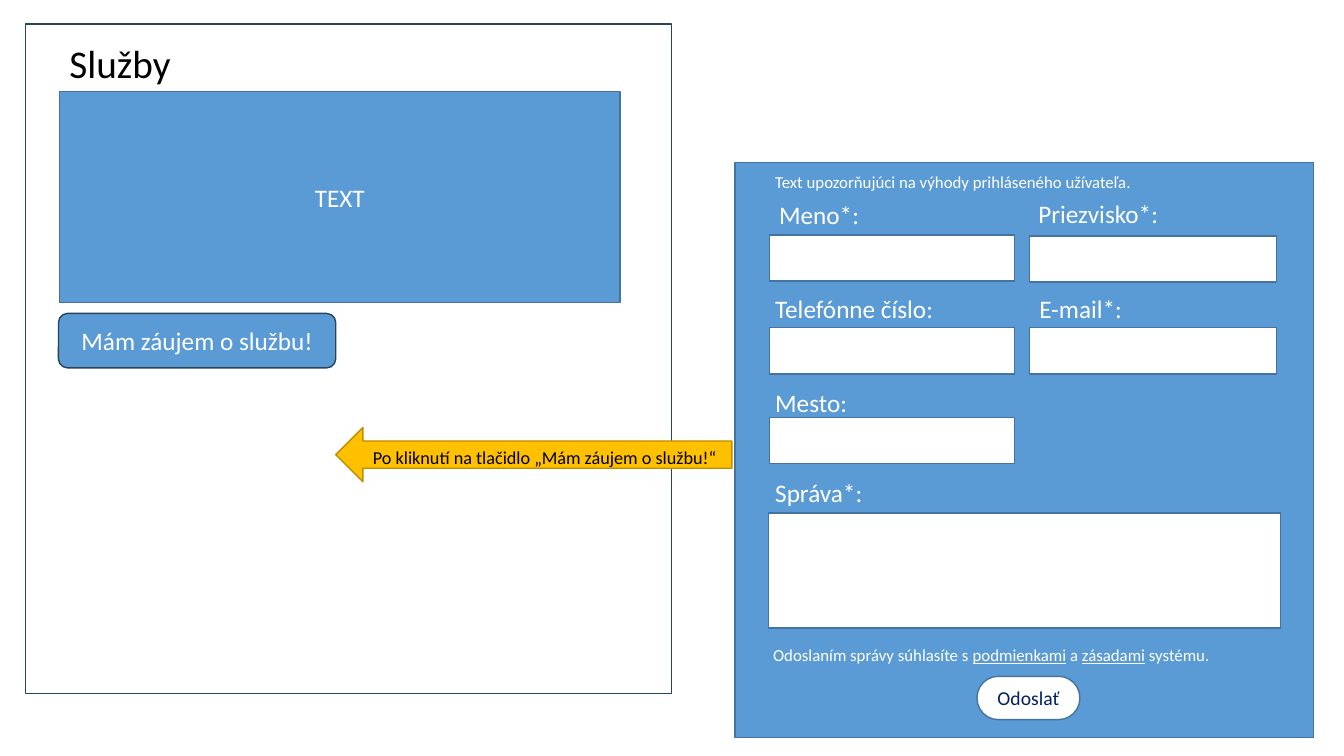
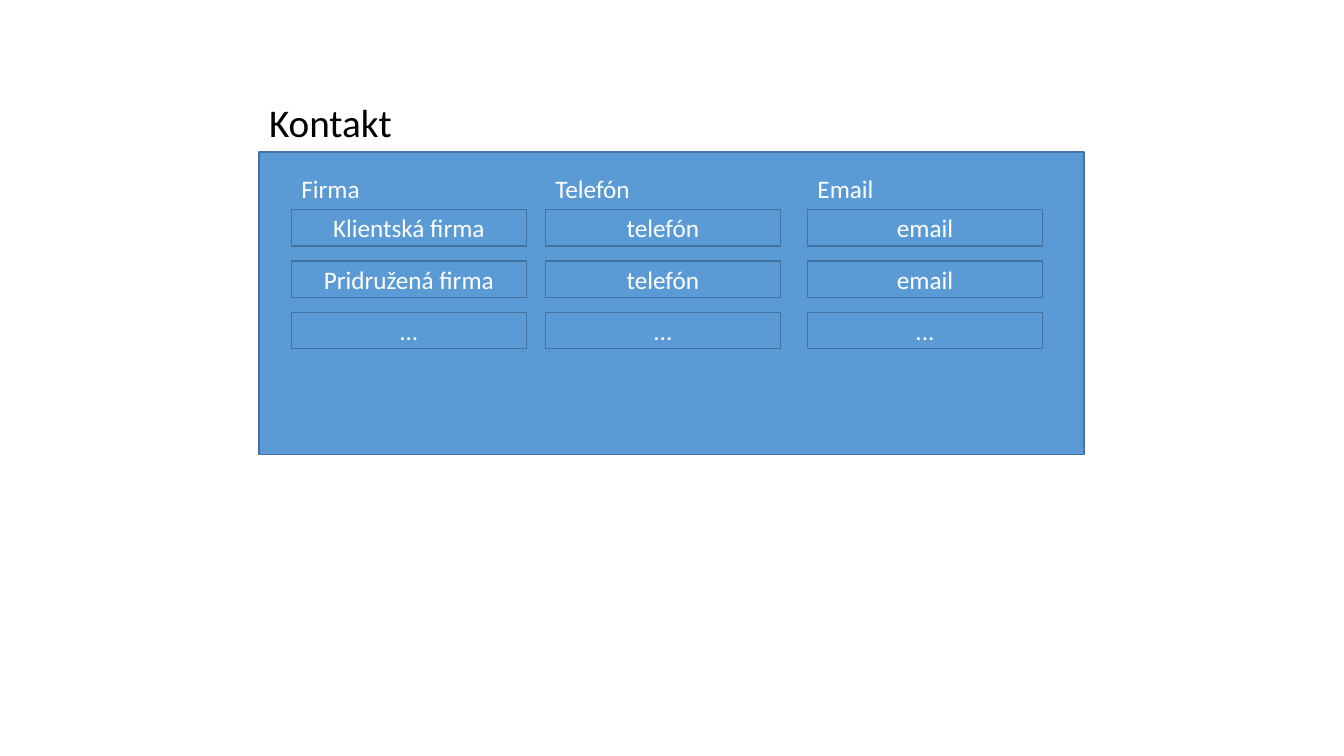
from dataclasses import dataclass

from pptx import Presentation
from pptx import util as u
from pptx.dml.color import RGBColor
from pptx.enum import shapes, text

PX = 9144  # 100 px to the inch


@dataclass(frozen=True)
class Theme:
    font: str = "Calibri"
    blue: str = "5B9BD5"
    edge: str = "43739E"
    dark_edge: str = "28445D"
    gold: str = "FFC000"
    gold_edge: str = "BD8E00"
    navy: str = "002060"
    white: str = "FFFFFF"
    black: str = "000000"
    title: int = 28
    body: int = 18
    button: int = 14
    callout: int = 13
    small: int = 12


theme = Theme()
SHAPE = shapes.MSO_SHAPE


def draw(slide, area, kind=SHAPE.RECTANGLE, fill=theme.blue, line=theme.edge):
    box = slide.shapes.add_shape(kind, *[length * PX for length in area])
    box.shadow.inherit = False
    if fill:
        box.fill.solid()
        box.fill.fore_color.rgb = RGBColor.from_string(fill)
    else:
        box.fill.background()
    box.line.color.rgb = RGBColor.from_string(line)
    box.line.width = u.Pt(1)
    return box


def write(slide, words, area=None, box=None, size=theme.body, color=theme.white, wrap=False):
    """Centre words in box, or set them in a new text box at area; _words_ are underlined."""
    label = box or slide.shapes.add_textbox(*[length * PX for length in area])
    frame = label.text_frame
    para = frame.paragraphs[0]
    if box:
        frame.word_wrap = True
        frame.vertical_anchor = text.MSO_ANCHOR.MIDDLE
        para.alignment = text.PP_ALIGN.CENTER
    else:
        frame.word_wrap = wrap
        frame.auto_size = text.MSO_AUTO_SIZE.SHAPE_TO_FIT_TEXT
        para.alignment = text.PP_ALIGN.LEFT
    for index, part in enumerate(words.split("_")):
        span = para.add_run()
        span.text = part
        span.font.name = theme.font
        span.font.size = u.Pt(size)
        span.font.color.rgb = RGBColor.from_string(color)
        if index % 2:
            span.font.underline = True


deck = Presentation()
deck.slide_width, deck.slide_height = 1333 * PX, 750 * PX
blank = deck.slide_layouts[6]
services, contact = [deck.slides.add_slide(blank) for _ in range(2)]

for page, title, left, top in [(services, "Služby", 59, 34), (contact, "Kontakt", 257, 93)]:
    write(page, title, (left, top, 161, 57), size=theme.title, color=theme.black, wrap=True)

# Services: page outline with its text and button
draw(services, (25, 24, 641, 664), fill=None, line=theme.dark_edge)
write(services, "TEXT", box=draw(services, (59, 91, 556, 209)))
interest = draw(services, (58, 311, 275, 54), SHAPE.ROUNDED_RECTANGLE, line=theme.dark_edge)
write(services, "Mám záujem o službu!", box=interest)

# Services: enquiry form
draw(services, (729, 161, 574, 571))
write(services, "Text upozorňujúci na výhody prihláseného užívateľa.",
      (759, 165, 376, 30), size=theme.small)

fields = [
    ("Meno*:", (763, 193, 100, 40), (763, 233, 243, 46)),
    ("Priezvisko*:", (1020, 192, 140, 40), (1021, 234, 245, 46)),
    ("Telefónne číslo:", (759, 286, 179, 40), (763, 325, 243, 46)),
    ("E-mail*:", (1021, 286, 103, 40), (1021, 325, 245, 46)),
    ("Mesto:", (759, 379, 92, 40), (763, 414, 243, 46)),
    ("Správa*:", (759, 469, 108, 40), (762, 509, 508, 114)),
]
for name, label_area, field_area in fields:
    draw(services, field_area, fill=theme.white)
    write(services, name, label_area)

write(services, "Odoslaním správy súhlasíte s _podmienkami_ a _zásadami_ systému.",
      (757, 635, 500, 30), size=theme.small, wrap=True)
send = draw(services, (969, 671, 102, 43), SHAPE.ROUNDED_RECTANGLE, fill=theme.white)
send.adjustments[0] = 0.49
write(services, "Odoslať", box=send, size=theme.button, color=theme.navy)

# Services: arrow from the form back to the button's page
draw(services, (333, 424, 393, 54), SHAPE.LEFT_ARROW, fill=theme.gold, line=theme.gold_edge)
write(services, "Po kliknutí na tlačidlo „Mám záujem o službu!“", (360, 438, 372, 32),
      size=theme.callout, color=theme.black, wrap=True)

# Contact: three columns of cells on one panel
draw(contact, (257, 151, 818, 300))
columns = [
    ("Firma", 289, 79, ["Klientská firma", "Pridružená firma", "..."]),
    ("Telefón", 541, 95, ["telefón", "telefón", "..."]),
    ("Email", 801, 76, ["email", "email", "..."]),
]
for heading, left, width, entries in columns:
    write(contact, heading, (left, 167, width, 40))
    for row, entry in enumerate(entries):
        cell = draw(contact, (left, 208 + 51 * row, 233, 36))
        write(contact, entry, box=cell)

deck.save("out.pptx")
